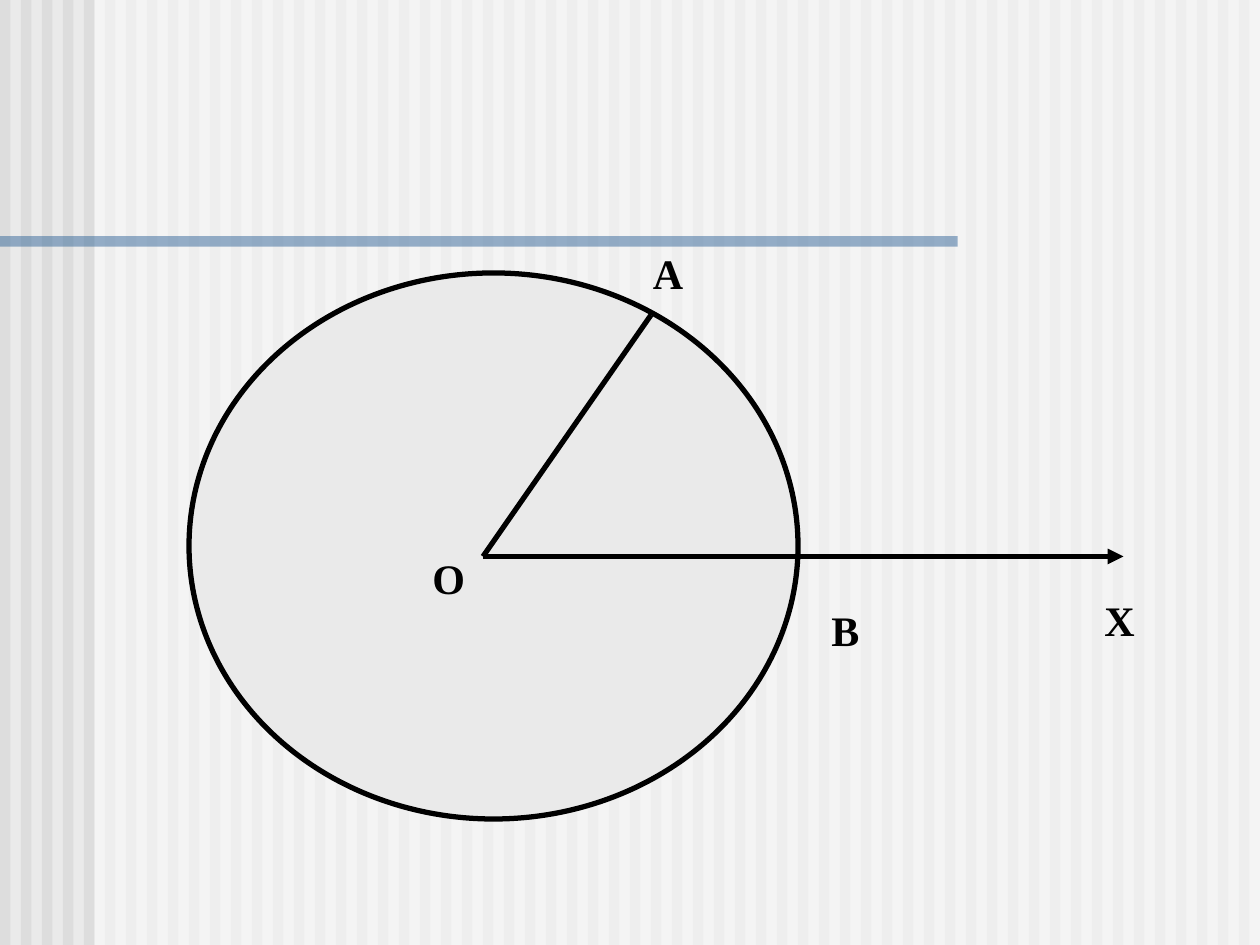
from lxml.etree import SubElement
from pptx import Presentation
from pptx.dml.color import RGBColor
from pptx.enum.shapes import MSO_CONNECTOR, MSO_SHAPE
from pptx.enum.text import MSO_AUTO_SIZE
from pptx.oxml.ns import qn
from pptx.util import Inches, Pt

COLUMNS, ROWS = 120, 90
CELL = Inches(10) / COLUMNS
BACKGROUND, STRIPE, VEIL, BAR, INK = "EAEAEA", "DDDDDD", "FFFFFF", "336699", "000000"
FONT, LABEL_SIZE, LINE_WIDTH = "Times New Roman", Pt(24), Pt(3)

CIRCLE = (18, 26, 58, 52)
CENTER = (46, 53)
RAYS = [((107, 53), True), ((62, 30), False)]
LABELS = [
    ("O", (40, 52, 15, 6)),
    ("X", (104, 56, 8, 6)),
    ("A", (61, 23, 13, 6)),
    ("B", (78, 57, 8, 6)),
]


def color(value):
    return RGBColor.from_string(value)


def cells(*counts):
    return [round(count * CELL) for count in counts]


def add_filled(slide, kind, box, fill, opacity=100):
    shape = slide.shapes.add_shape(kind, *cells(*box))
    shape.shadow.inherit = False
    shape.fill.solid()
    shape.fill.fore_color.rgb = color(fill)
    shape.line.fill.background()
    if opacity < 100:
        tint = shape.fill._xPr.find(qn("a:solidFill"))[0]
        SubElement(tint, qn("a:alpha"), val=str(opacity * 1000))
    return shape


def style_line(line):
    line.width = LINE_WIDTH
    line.fill.solid()
    line.fill.fore_color.rgb = color(INK)


def add_ray(slide, end, arrow):
    ray = slide.shapes.add_connector(MSO_CONNECTOR.STRAIGHT, *cells(*CENTER, *end))
    style_line(ray.line)
    if arrow:
        SubElement(ray.line._get_or_add_ln(), qn("a:tailEnd"), type="triangle")
    SubElement(ray._element.spPr, qn("a:effectLst"))


def add_label(slide, text, box):
    frame = slide.shapes.add_textbox(*cells(*box)).text_frame
    frame.word_wrap = True
    frame.auto_size = MSO_AUTO_SIZE.SHAPE_TO_FIT_TEXT
    paragraph = frame.paragraphs[0]
    paragraph.text = text
    font = paragraph.font
    font.name, font.size, font.bold = FONT, LABEL_SIZE, True
    font.color.rgb = color(INK)


def main():
    presentation = Presentation()
    presentation.slide_width, presentation.slide_height = cells(COLUMNS, ROWS)
    slide = presentation.slides.add_slide(presentation.slide_layouts[6])
    slide.background.fill.solid()
    slide.background.fill.fore_color.rgb = color(BACKGROUND)

    for column in range(0, COLUMNS, 2):
        add_filled(slide, MSO_SHAPE.RECTANGLE, (column, 0, 1, ROWS), STRIPE)
    add_filled(slide, MSO_SHAPE.RECTANGLE, (9, 0, COLUMNS - 9, ROWS), VEIL, 50)
    add_filled(slide, MSO_SHAPE.RECTANGLE, (0, 22.5, 91.2, 1), BAR, 50)

    circle = add_filled(slide, MSO_SHAPE.FLOWCHART_CONNECTOR, CIRCLE, BACKGROUND)
    style_line(circle.line)
    for end, arrow in RAYS:
        add_ray(slide, end, arrow)
    for text, box in LABELS:
        add_label(slide, text, box)
    presentation.save("out.pptx")


if __name__ == "__main__":
    main()
